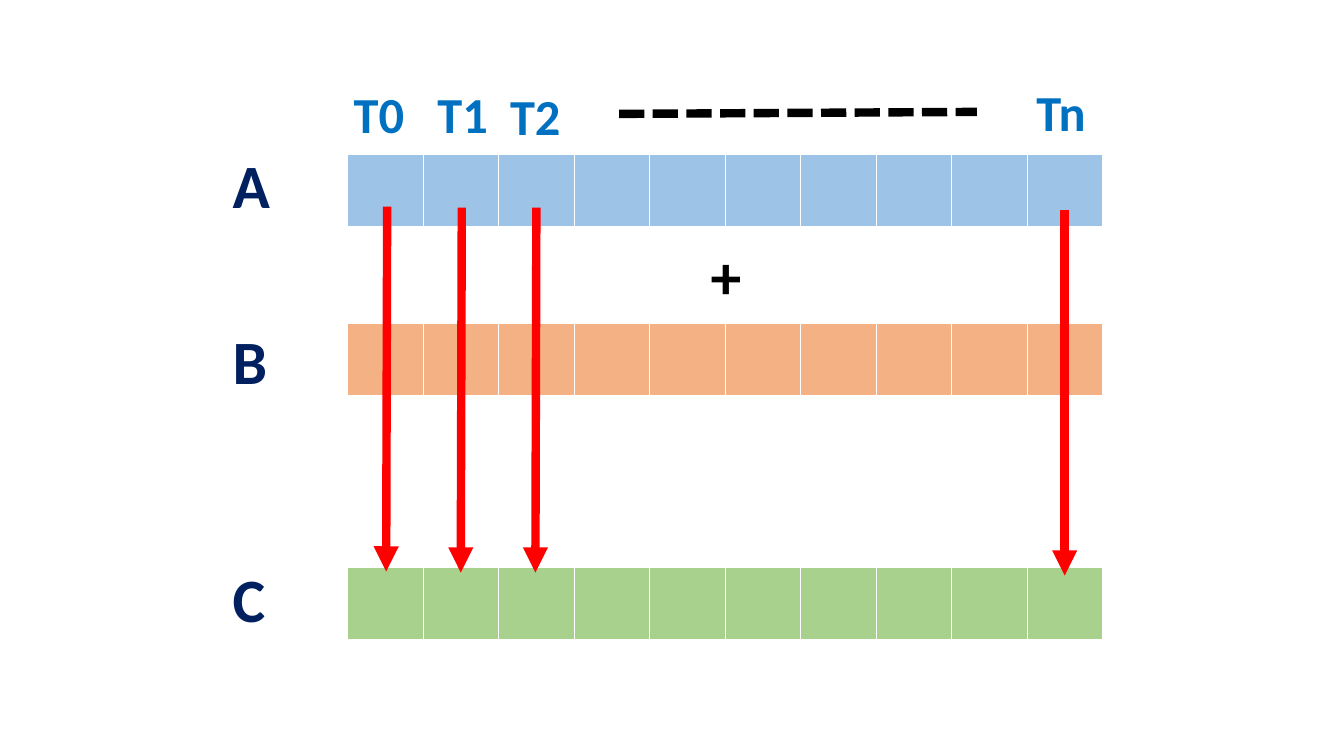
from dataclasses import dataclass

from lxml import etree
from pptx import Presentation
from pptx import util as u
from pptx.dml.color import RGBColor
from pptx.enum import dml, shapes, text
from pptx.oxml import ns
from pptx.slide import Slide

WHITE = RGBColor(0xFF, 0xFF, 0xFF)
BLACK = RGBColor(0x00, 0x00, 0x00)
NAVY = RGBColor(0x00, 0x20, 0x60)
BLUE = RGBColor(0x00, 0x70, 0xC0)
RED = RGBColor(0xFF, 0x00, 0x00)
SKY = RGBColor(0x9D, 0xC3, 0xE6)
PEACH = RGBColor(0xF4, 0xB1, 0x83)
GREEN = RGBColor(0xA9, 0xD1, 0x8E)

CELLS = 10
LEFT, WIDTH, HEIGHT = 3.45, 7.49, 0.73
EDGES = {"a:lnL": 1, "a:lnR": 1, "a:lnT": 1, "a:lnB": 3}


@dataclass
class Array:
    top: float
    fill: RGBColor


@dataclass
class Label:
    words: str
    left: float
    top: float
    width: float
    height: float
    size: int
    color: RGBColor


@dataclass
class Line:
    start: tuple[float, float]
    end: tuple[float, float]
    color: RGBColor = RED
    dotted: bool = False


ARRAYS = [Array(1.53, SKY), Array(3.21, PEACH), Array(5.63, GREEN)]

LABELS = [
    Label("+", 6.95, 2.31, 2.2, 0.84, 44, BLACK),
    Label("A", 2.21, 1.41, 1.4, 0.84, 44, NAVY),
    Label("B", 2.21, 3.15, 1.4, 0.84, 44, NAVY),
    Label("C", 2.21, 5.52, 0.81, 0.84, 44, NAVY),
] + [
    Label(name, left, top, 1.08, 0.71, 36, BLUE)
    for name, left, top in [
        ("T0", 3.41, 0.78), ("T1", 4.24, 0.78),
        ("T2", 4.96, 0.79), ("Tn", 10.18, 0.76),
    ]
]

LINES = [
    Line((3.84, 2.05), (3.83, 5.67)),
    Line((4.58, 2.06), (4.57, 5.68)),
    Line((5.32, 2.06), (5.31, 5.68)),
    Line((10.56, 2.08), (10.56, 5.71)),
    Line((6.14, 1.13), (9.69, 1.11), BLACK, True),
]


def draw_array(slide: Slide, array: Array) -> None:
    frame = slide.shapes.add_table(
        1, CELLS, u.Inches(LEFT), u.Inches(array.top),
        u.Inches(WIDTH), u.Inches(HEIGHT),
    )
    for column in frame.table.columns:
        column.width = u.Inches(WIDTH / CELLS)
    for cell in frame.table.iter_cells():
        props = cell._tc.get_or_add_tcPr()
        for tag, points in EDGES.items():
            edge = etree.SubElement(props, ns.qn(tag), w=str(u.Pt(points)))
            fill = etree.SubElement(edge, ns.qn("a:solidFill"))
            etree.SubElement(fill, ns.qn("a:srgbClr"), val=str(WHITE))
        cell.fill.solid()
        cell.fill.fore_color.rgb = array.fill


def draw_label(slide: Slide, label: Label) -> None:
    box = slide.shapes.add_textbox(
        u.Inches(label.left), u.Inches(label.top),
        u.Inches(label.width), u.Inches(label.height),
    )
    frame = box.text_frame
    frame.word_wrap = True
    frame.auto_size = text.MSO_AUTO_SIZE.SHAPE_TO_FIT_TEXT
    para = frame.paragraphs[0]
    para.text = label.words
    para.font.name = "Calibri"
    para.font.size = u.Pt(label.size)
    para.font.bold = True
    para.font.color.rgb = label.color


def draw_line(slide: Slide, line: Line) -> None:
    ends = [u.Inches(value) for value in line.start + line.end]
    link = slide.shapes.add_connector(shapes.MSO_CONNECTOR.STRAIGHT, *ends)
    link.line.color.rgb = line.color
    link.line.width = u.Pt(6)
    props = link._element.spPr
    if line.dotted:
        link.line.dash_style = dml.MSO_LINE.SQUARE_DOT
    else:
        stroke = props.find(ns.qn("a:ln"))
        etree.SubElement(stroke, ns.qn("a:tailEnd"), type="triangle")
    etree.SubElement(props, ns.qn("a:effectLst"))


def main() -> None:
    deck = Presentation()
    deck.slide_width = u.Inches(13.33)
    deck.slide_height = u.Inches(7.5)
    slide = deck.slides.add_slide(deck.slide_layouts[6])
    for array in ARRAYS:
        draw_array(slide, array)
    for label in LABELS:
        draw_label(slide, label)
    for line in LINES:
        draw_line(slide, line)
    deck.save("out.pptx")


if __name__ == "__main__":
    main()
